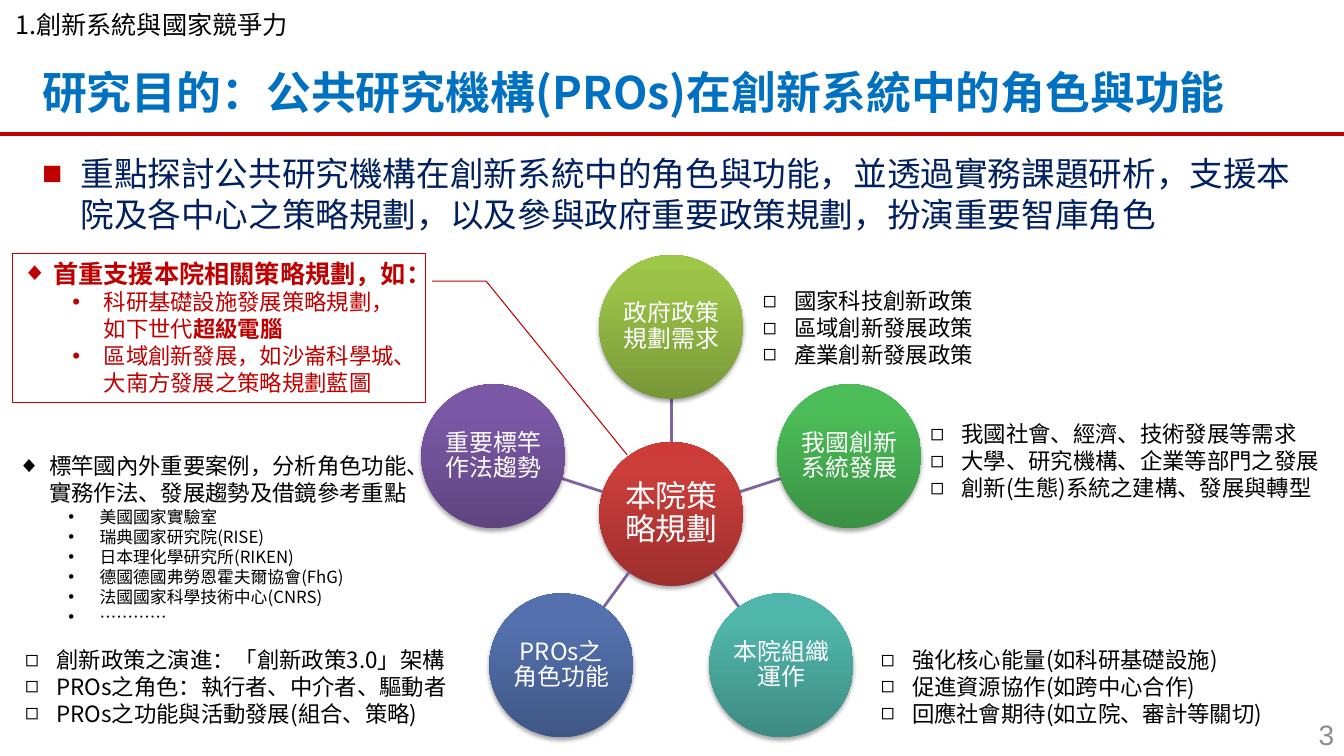
import copy
import math

import lxml.etree
import pptx
import pptx.dml.color
import pptx.enum.dml
import pptx.enum.shapes
import pptx.enum.text
import pptx.oxml
import pptx.oxml.ns
import pptx.util

RGB = pptx.dml.color.RGBColor
RED = RGB(0xC0, 0x00, 0x00)
BLUE = RGB(0x00, 0x70, 0xC0)
NAVY = RGB(0x00, 0x20, 0x60)
BLACK = RGB(0x00, 0x00, 0x00)
WHITE = RGB(0xFF, 0xFF, 0xFF)
GRAY = RGB(0x8C, 0x8C, 0x8C)
PURPLE = RGB(0x80, 0x64, 0xA2)
CORE = ("本院策略規劃", RGB(0x9C, 0x2F, 0x2D), RGB(0xCB, 0x3E, 0x3A), RGB(0xCE, 0x3B, 0x37))
NODES = [
    ("政府政策規劃需求", RGB(0x77, 0x97, 0x37), RGB(0x9B, 0xC3, 0x48), RGB(0x9D, 0xC7, 0x46)),
    ("我國創新系統發展", RGB(0x3A, 0x91, 0x44), RGB(0x4C, 0xBC, 0x58), RGB(0x4A, 0xBF, 0x57)),
    ("本院組織運作", RGB(0x3D, 0x8B, 0x83), RGB(0x50, 0xB5, 0xAA), RGB(0x4E, 0xB8, 0xAC)),
    ("PROs之角色功能", RGB(0x40, 0x57, 0x86), RGB(0x54, 0x71, 0xAE), RGB(0x52, 0x71, 0xB0)),
    ("重要標竿作法趨勢", RGB(0x5F, 0x44, 0x80), RGB(0x7B, 0x58, 0xA6), RGB(0x7C, 0x57, 0xA8)),
]
LISTS = [
    ((56.03, 37.33, 30.75, 12.13),
     ["國家科技創新政策", "區域創新發展政策", "產業創新發展政策"]),
    ((68.48, 54.93, 30.75, 12.13),
     ["我國社會、經濟、技術發展等需求", "大學、研究機構、企業等部門之發展",
      "創新(生態)系統之建構、發展與轉型"]),
    ((64.8, 84.8, 30.68, 12.13),
     ["強化核心能量(如科研基礎設施)", "促進資源協作(如跨中心合作)",
      "回應社會期待(如立院、審計等關切)"]),
    ((1.13, 84.8, 35.48, 12.13),
     ["創新政策之演進：「創新政策3.0」架構", "PROs之角色：執行者、中介者、驅動者",
      "PROs之功能與活動發展(組合、策略)"]),
]
CASES = ["美國國家實驗室", "瑞典國家研究院(RISE)", "日本理化學研究所(RIKEN)",
         "德國德國弗勞恩霍夫爾協會(FhG)", "法國國家科學技術中心(CNRS)", "…………"]
FONT = "Noto Sans CJK SC"
ALIGN = pptx.enum.text.PP_ALIGN
SHAPE = pptx.enum.shapes.MSO_SHAPE
MIDDLE = pptx.enum.text.MSO_ANCHOR.MIDDLE

deck = pptx.Presentation()
deck.slide_width = pptx.util.Inches(13.33)
deck.slide_height = pptx.util.Inches(7.5)
COL = deck.slide_width / 100
ROW = deck.slide_height / 100


def place(box):
    left, top, wide, high = box
    return [round(n) for n in (left * COL, top * ROW, wide * COL, high * ROW)]


def add(node, tag, **attrs):
    child = lxml.etree.SubElement(node, pptx.oxml.ns.qn(tag))
    for key, value in attrs.items():
        child.set(key, str(value))
    return child


def text(frame, words, size=16, color=BLACK, bold=False, bullet=None, tint=None,
         indent=0.31, align=ALIGN.LEFT, space=None, font=FONT, tail=""):
    para = frame.add_paragraph() if frame.text else frame.paragraphs[0]
    if bullet:
        hang = pptx.util.Inches(0.38 if bullet == "■" else 0.31)
        props = para._p.get_or_add_pPr()
        props.set("marL", str(pptx.util.Inches(indent)))
        props.set("indent", str(-hang))
        if tint:
            add(add(props, "a:buClr"), "a:srgbClr", val=tint)
        add(props, "a:buFont", typeface="Arial")
        add(props, "a:buChar", char=bullet)
    para.alignment = align
    if space:
        para.line_spacing = space
    for part, heavy in ((words, bold), (tail, True)):
        if part:
            run = para.add_run()
            run.text = part
            run.font.size = pptx.util.Pt(size)
            run.font.bold = heavy
            run.font.color.rgb = color
            run.font.name = font
            add(run._r.get_or_add_rPr(), "a:ea", typeface=font)


def panel(slide, box):
    frame = slide.shapes.add_textbox(*place(box)).text_frame
    frame.word_wrap = True
    return frame


def line(slide, ends, color, width):
    kind = pptx.enum.shapes.MSO_CONNECTOR.STRAIGHT
    link = slide.shapes.add_connector(kind, *[round(n) for n in ends])
    link.line.color.rgb = color
    link.line.width = pptx.util.Pt(width)
    add(link._element.spPr, "a:effectLst")


def header(slide):
    text(panel(slide, (0.38, 0.53, 23.63, 5.33)), "1.創新系統與國家競爭力", size=18)
    text(panel(slide, (2.4, 7.87, 95.7, 8.53)),
         "研究目的：公共研究機構(PROs)在創新系統中的角色與功能", size=32, color=BLUE, bold=True)
    line(slide, (0, 17.73 * ROW, 100 * COL, 17.73 * ROW), RED, 2.25)


def lead(slide, box):
    text(panel(slide, box),
         "重點探討公共研究機構在創新系統中的角色與功能，並透過實務課題研析，支援本院及各中心之策略規劃，"
         "以及參與政府重要政策規劃，扮演重要智庫角色",
         size=24, color=NAVY, bullet="■", tint=RED, indent=0.38)


def disc(slide, x, y, wide, node, size):
    words, *shades = node
    spot = [round(n) for n in (x - wide / 2, y - wide / 2, wide, wide)]
    shape = slide.shapes.add_shape(SHAPE.OVAL, *spot)
    shape.shadow.inherit = False
    shape.line.fill.background()
    shape.fill.gradient()
    shape.fill.gradient_angle = 90
    props = shape._element.spPr
    stops = props.find(".//" + pptx.oxml.ns.qn("a:gsLst"))
    stops.append(copy.deepcopy(stops[-1]))
    for stop, spot, shade in zip(shape.fill.gradient_stops, (0, 0.8, 1), shades):
        stop.position = spot
        stop.color.rgb = shade
    glow = add(props.find(pptx.oxml.ns.qn("a:effectLst")), "a:outerShdw", blurRad=40000,
               dist=23000, dir=5400000, rotWithShape=0)
    add(add(glow, "a:srgbClr", val=BLACK), "a:alpha", val=35000)
    frame = shape.text_frame
    frame.word_wrap = True
    frame.vertical_anchor = MIDDLE
    frame.margin_left = frame.margin_right = pptx.util.Inches(0.01)
    frame.margin_top = frame.margin_bottom = pptx.util.Inches(0.01)
    text(frame, words, size=size, color=WHITE, align=ALIGN.CENTER, space=0.9)


def wheel(slide, box):
    left, top, wide, high = place(box)
    size = 0.288 * wide
    reach = (wide - size) / 2 / math.cos(math.radians(18))
    x, y = left + wide / 2, top + size / 2 + reach
    disc(slide, x, y, size, CORE, 22)
    for step, node in enumerate(NODES):
        turn = math.radians(360 / len(NODES) * step - 90)
        dx, dy = math.cos(turn), math.sin(turn)
        near, far = size / 2, reach - size / 2
        line(slide, (x + near * dx, y + near * dy, x + far * dx, y + far * dy), PURPLE, 2)
        disc(slide, x + reach * dx, y + reach * dy, size, node, 17)


def cases(slide, box):
    frame = panel(slide, box)
    text(frame, "標竿國內外重要案例，分析角色功能、實務作法、發展趨勢及借鏡參考重點", bullet="◆")
    for words in CASES:
        text(frame, words, size=12, bullet="•", indent=0.81)


def callout(slide, box):
    shape = slide.shapes.add_shape(SHAPE.LINE_CALLOUT_2, *place(box))
    for rank, value in enumerate((0.188, 1.016, 0.188, 1.147, 1.352, 1.488)):
        shape.adjustments[rank] = value
    shape.shadow.inherit = False
    shape.fill.background()
    shape.line.color.rgb = RED
    shape.line.width = pptx.util.Pt(0.75)
    frame = shape.text_frame
    frame.word_wrap = True
    frame.vertical_anchor = pptx.enum.text.MSO_ANCHOR.TOP
    text(frame, "首重支援本院相關策略規劃，如：", size=18, color=RED, bold=True, bullet="◆")
    text(frame, "科研基礎設施發展策略規劃，如下世代", color=RED, bullet="•", indent=0.81,
         tail="超級電腦")
    text(frame, "區域創新發展，如沙崙科學城、大南方發展之策略規劃藍圖", color=RED, bullet="•",
         indent=0.81)


def main():
    slide = deck.slides.add_slide(deck.slide_layouts[6])
    header(slide)
    lead(slide, (2.4, 19.6, 95.1, 12.13))
    wheel(slide, (31.35, 33.73, 37.2, 63.87))
    for box, items in LISTS:
        frame = panel(slide, box)
        for words in items:
            text(frame, words, bullet="◻")
    cases(slide, (0.6, 59.2, 30.75, 24.67))
    callout(slide, (0.9, 33.47, 30.75, 19.73))
    frame = panel(slide, (76.67, 94.4, 23.33, 5.33))
    frame.vertical_anchor = MIDDLE
    text(frame, "3", size=20, color=GRAY, align=ALIGN.RIGHT, font="Arial")
    deck.save("out.pptx")


if __name__ == "__main__":
    main()
